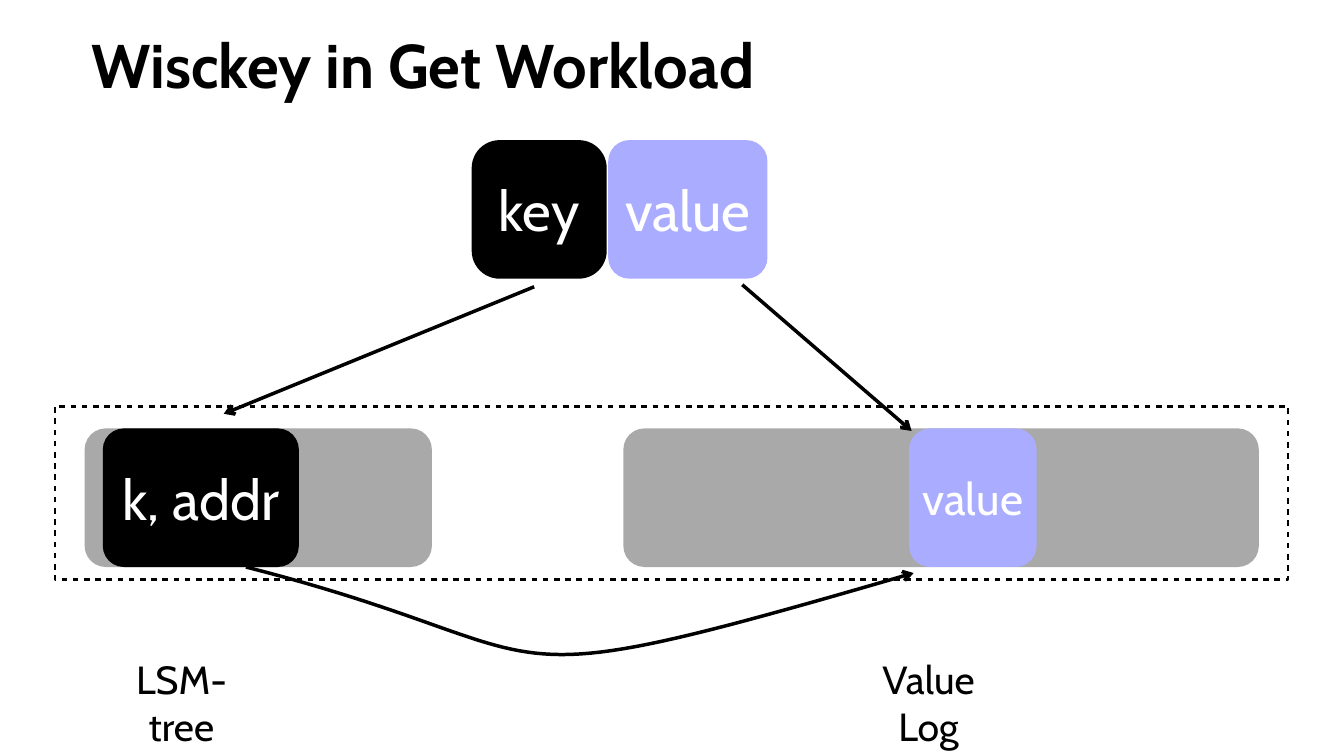
from lxml import etree
from pptx import Presentation
from pptx.dml.color import RGBColor
from pptx.enum.shapes import MSO_CONNECTOR, MSO_SHAPE
from pptx.enum.text import MSO_ANCHOR, PP_ALIGN
from pptx.oxml.ns import qn
from pptx.util import Inches, Pt

ROUND = MSO_SHAPE.ROUNDED_RECTANGLE
RECT = MSO_SHAPE.RECTANGLE
STRAIGHT = MSO_CONNECTOR.STRAIGHT
MIDDLE = MSO_ANCHOR.MIDDLE
TOP = MSO_ANCHOR.TOP
CENTER = PP_ALIGN.CENTER


def color(code):
    return RGBColor.from_string(code)


def write(shape, text, size=80, ink="FFFFFF", bold=False, font="Cabin",
          anchor=MIDDLE, wrap=True, pads=(0.11, 0.11, 0.11, 0.11)):
    frame = shape.text_frame
    frame.word_wrap = wrap
    frame.vertical_anchor = anchor
    (frame.margin_left, frame.margin_top,
     frame.margin_right, frame.margin_bottom) = map(Inches, pads)
    par = frame.paragraphs[0]
    par.alignment = CENTER
    run = par.add_run()
    run.text = text
    run.font.name = font
    run.font.size = Pt(size)
    run.font.bold = bold
    run.font.color.rgb = color(ink)


class Board:
    black = "000000"
    gray = "A9A9A9"
    lilac = "AAADFF"

    def __init__(self, slide):
        self.shapes = slide.shapes

    def stroke(self, shape, width):
        shape.line.color.rgb = color(self.black)
        shape.line.width = Pt(width)
        return shape.element.spPr.find(qn("a:ln"))

    def label(self, text, *box, **style):
        shape = self.shapes.add_textbox(*map(Inches, box))
        write(shape, text, ink=self.black, **style)

    def block(self, fill, *box, text="", curve=0.152, size=80):
        shape = self.shapes.add_shape(ROUND, *map(Inches, box))
        shape.adjustments[0] = curve
        shape.shadow.inherit = False
        shape.fill.solid()
        shape.fill.fore_color.rgb = color(fill)
        shape.line.fill.background()
        if text:
            write(shape, text, size=size)

    def frame(self, *box):
        shape = self.shapes.add_shape(RECT, *map(Inches, box))
        shape.shadow.inherit = False
        shape.fill.background()
        dash = etree.SubElement(self.stroke(shape, 4), qn("a:custDash"))
        etree.SubElement(dash, qn("a:ds"), d="200000", sp="200000")

    def tip(self, shape):
        line = self.stroke(shape, 5)
        etree.SubElement(line, qn("a:tailEnd"), type="arrow")

    def arrow(self, *ends):
        shape = self.shapes.add_connector(STRAIGHT, *map(Inches, ends))
        self.tip(shape)
        etree.SubElement(shape.element.spPr, qn("a:effectLst"))

    def curve(self, *knots, steps=48):
        points = []
        for step in range(steps + 1):
            t = step / steps
            parts = ((1 - t) ** 3, 3 * t * (1 - t) ** 2,
                     3 * t ** 2 * (1 - t), t ** 3)
            points.append([Inches(sum(p * v for p, v in zip(parts, axis)))
                           for axis in zip(*knots)])
        path = self.shapes.build_freeform(*points[0])
        path.add_line_segments(points[1:], close=False)
        shape = path.convert_to_shape()
        shape.shadow.inherit = False
        shape.fill.background()
        self.tip(shape)


def main():
    deck = Presentation()
    deck.slide_width = Inches(26.67)
    deck.slide_height = Inches(15)
    board = Board(deck.slides.add_slide(deck.slide_layouts[6]))
    high, top, row = 2.75, 2.78, 8.5

    board.label("Wisckey in Get Workload", 0.08, 0.44, 16.62, 1.68, size=88,
                bold=True, anchor=TOP, wrap=False, pads=(0.2, 0.1, 0.2, 0.1))
    board.block(board.black, 9.36, top, 2.68, high, text="key", curve=0.207)
    board.block(board.lilac, 12.07, top, 3.16, high, text="value")

    for left, wide in ((1.68, 6.89), (12.37, 12.61)):
        board.block(board.gray, left, row, wide, high)
    board.frame(1.09, 8.06, 24.47, 3.44)
    for text, left, wide in (("LSM-tree", 2.62, 3.16),
                             ("Value Log", 17.35, 3.35)):
        board.label(text, left, 13.35, wide, 1.17, size=56,
                    pads=(0, 0.11, 1.2, 0.11))
    board.block(board.black, 2.04, row, 3.89, high, text="k, addr")
    board.block(board.lilac, 18.04, row, 2.53, high, text="value",
                curve=0.165, size=64)

    board.arrow(14.73, 5.65, 18.09, 8.55)
    board.arrow(10.6, 5.69, 4.44, 8.21)
    board.curve((4.88, 11.25), (11.69, 12.99), (8.99, 14.03), (18.13, 11.37))
    deck.save("out.pptx")


if __name__ == "__main__":
    main()
